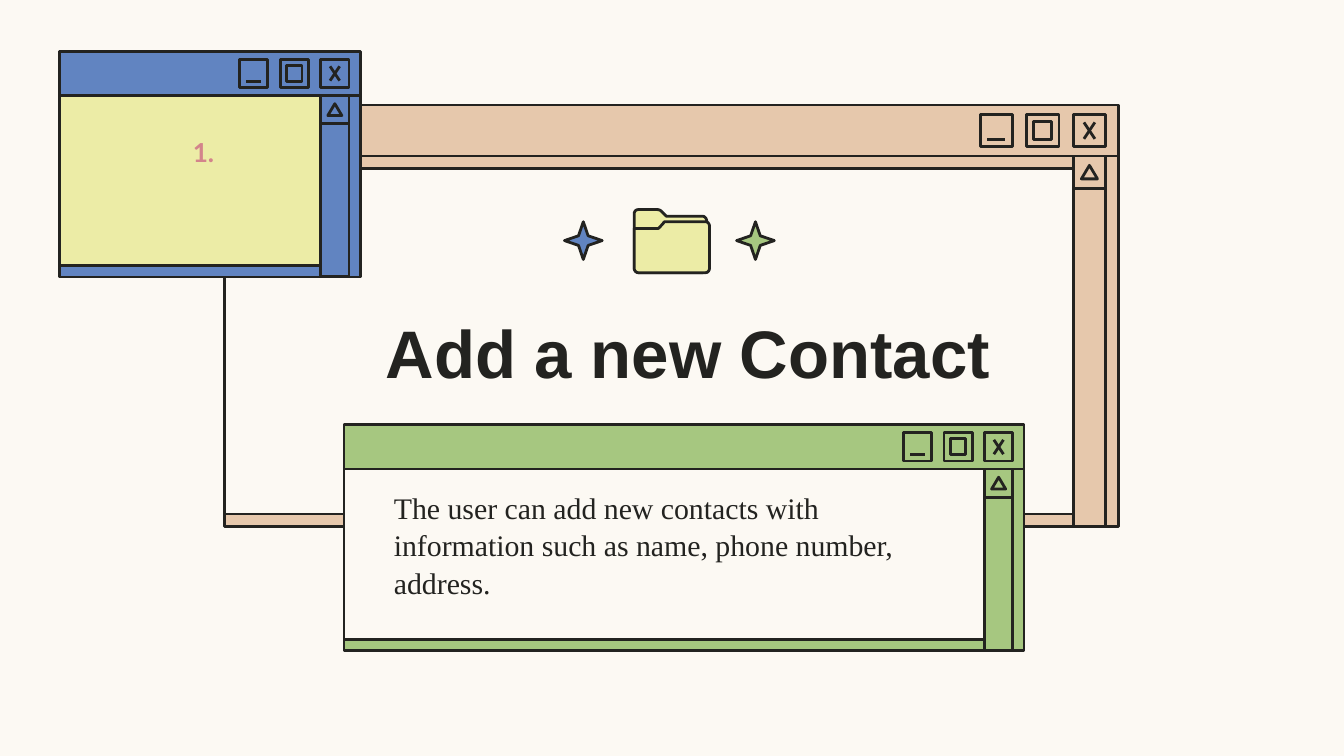
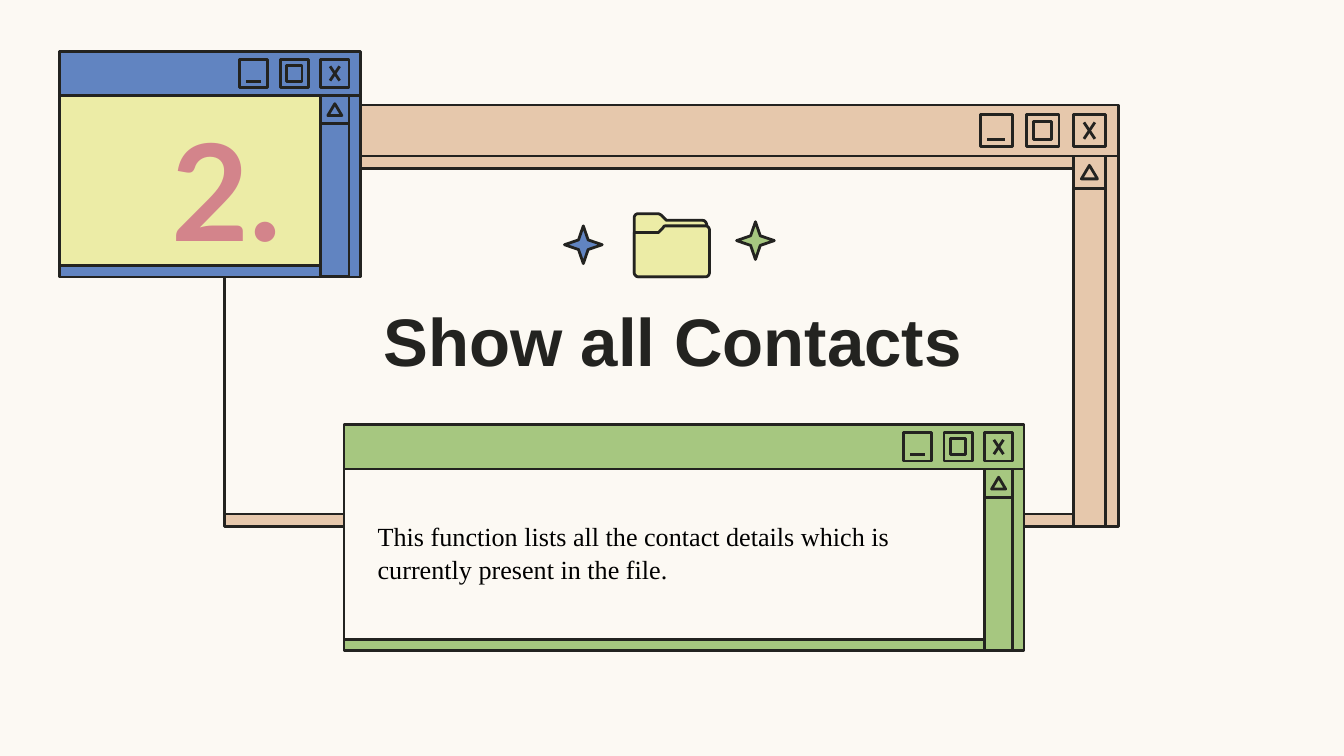
"""Build two slides of retro desktop windows that present contact features."""
import dataclasses
import typing

import pptx
import pptx.dml.color
import pptx.enum.shapes
import pptx.enum.text
import pptx.oxml.ns
import pptx.util
from lxml import etree

Pt = pptx.util.Pt
KIND = pptx.enum.shapes.MSO_SHAPE
ALIGN = pptx.enum.text.PP_ALIGN
ANCHOR = pptx.enum.text.MSO_ANCHOR

CREAM, INK, BLACK = "FCF9F3", "232320", "000000"
SAND, GREEN, BLUE = "E6C8AC", "A6C780", "6184C1"
YELLOW, PINK = "ECECA6", "D3848B"
STROKE = 1.5

Box = tuple[float, float, float, float]
Points = list[tuple[float, ...]]

FOLDER_BACK: Points = [
    (2.2, 0), (1, 0, 0, 1, 0, 2.2), (0, 31), (0, 32.4, 1, 33.8, 2.2, 33.8),
    (36.7, 33.8), (38, 33.8, 38.9, 32.4, 38.9, 31), (38.9, 6.5),
    (38.9, 5, 38, 3.6, 36.7, 3.6), (17.3, 3.6),
    (17.3, 3.6, 15.8, 2.2, 15.1, 1.4), (14.4, 0.7, 13.7, 0, 12.2, 0),
]
FOLDER_FRONT: Points = [
    (16.6, 6.5), (15.8, 6.5, 15.8, 7.2, 15.1, 7.9),
    (14.4, 8.6, 13, 10.1, 13, 10.1), (0, 10.1), (0, 31.7),
    (0, 32.4, 1, 33.8, 2.2, 33.8), (38.2, 33.8),
    (39.6, 33.8, 40.3, 32.4, 40.3, 31.7), (40.3, 8.6),
    (40.3, 7.9, 39.6, 6.5, 38.2, 6.5),
]


@dataclasses.dataclass(frozen=True)
class Window:
    """A window frame with its title bar, buttons and pane."""
    left: float
    top: float
    width: float
    bar: float
    body: float
    button: float
    paint: str
    pane: str
    head: float = 0


@dataclasses.dataclass(frozen=True)
class Label:
    """A text with its box and its look."""
    text: str
    box: Box
    size: float
    font: str
    paint: str
    bold: bool = True
    align: ALIGN = ALIGN.CENTER
    anchor: ANCHOR = ANCHOR.MIDDLE
    pad: float = 3.6
    spacing: float = 1


@dataclasses.dataclass(frozen=True)
class Scene:
    """What differs between the slides."""
    title: Label
    body: Label
    number: Label
    drop: float


WINDOWS = [
    Window(120.4, 56.2, 478.8, 27.4, 198.7, 17.3, SAND, CREAM, 6.6),
    Window(184.3, 227.5, 364.3, 23.8, 97.2, 15.1, GREEN, CREAM),
    Window(31.7, 27.4, 161.3, 23.8, 97.2, 15.1, BLUE, YELLOW),
]


def make_title(text: str, box: Box) -> Label:
    """Describe a slide title."""
    return Label(text, box, 36, "Arial", INK)


def make_body(text: str, box: Box, size: float, paint: str,
              spacing: float) -> Label:
    """Describe the text of the green window."""
    return Label(text, box, size, "Times New Roman", paint, False, ALIGN.LEFT,
                 pad=7.2, spacing=spacing)


SCENES = [
    Scene(
        make_title("Add a new Contact", (198.7, 169.2, 339.8, 38.2)),
        make_body("The user can add new contacts with information such as "
                  "name, phone number, address.",
                  (203.8, 253.6, 304.6, 75.6), 16, INK, 1.05),
        Label("1.", (84.2, 69.8, 49.7, 53.3), 14, "Lato", PINK,
              anchor=ANCHOR.TOP),
        0),
    Scene(
        make_title("Show all Contacts", (193, 150.7, 334.8, 62.6)),
        make_body("This function lists all the contact details which is "
                  "currently present in the file.",
                  (195.1, 271.4, 327.6, 48.2), 14, BLACK, 1.07),
        Label("2.", (84.2, 67.7, 74.2, 66.2), 72, "Lato", PINK),
        2.2),
]


def tint(code: str) -> pptx.dml.color.RGBColor:
    """Turn a hex string into a colour."""
    return pptx.dml.color.RGBColor.from_string(code)


def ink(line: typing.Any) -> None:
    """Give a line the shared stroke."""
    line.color.rgb = tint(INK)
    line.width = Pt(STROKE)


def dress(shape: typing.Any, paint: str | None) -> None:
    """Set fill, outline and no shadow."""
    shape.shadow.inherit = False
    if paint:
        shape.fill.solid()
        shape.fill.fore_color.rgb = tint(paint)
    else:
        shape.fill.background()
    ink(shape.line)


def draw(shapes: typing.Any, kind: KIND, box: Box, paint: str | None = None,
         adjust: tuple[float, ...] = ()) -> None:
    """Draw one preset shape."""
    shape = shapes.add_shape(kind, *map(Pt, box))
    for spot, value in enumerate(adjust):
        shape.adjustments[spot] = value
    dress(shape, paint)


def stroke(shapes: typing.Any, ends: Box) -> None:
    """Draw one straight line."""
    line = shapes.add_connector(pptx.enum.shapes.MSO_CONNECTOR.STRAIGHT,
                                *map(Pt, ends))
    ink(line.line)
    etree.SubElement(line.element.spPr, pptx.oxml.ns.qn("a:effectLst"))


def draw_window(slide: typing.Any, win: Window) -> None:
    """Draw a window as one group."""
    shapes = slide.shapes.add_group_shape().shapes
    size = win.button
    edge = 0.4 * size
    deck = win.top + win.bar
    close = win.left + win.width - edge - size
    high = win.top + (win.bar - size) / 2
    small, large, shut = (close - step * 1.44 * size for step in (2, 1, 0))

    draw(shapes, KIND.ROUND_2_SAME_RECTANGLE,
         (win.left, win.top, win.width, win.bar), win.paint, (0, 0))
    draw(shapes, KIND.RECTANGLE, (win.left, deck, win.width, win.body),
         win.paint)
    draw(shapes, KIND.RECTANGLE, (close, deck + size, size, win.body - size),
         win.paint)
    draw(shapes, KIND.RECTANGLE,
         (win.left, deck + win.head, close - win.left,
          win.body - win.head - edge), win.pane)
    for left, top in ((small, high), (large, high), (shut, high),
                      (close, deck)):
        draw(shapes, KIND.RECTANGLE, (left, top, size, size))
    draw(shapes, KIND.RECTANGLE,
         (large + 0.22 * size, high + 0.22 * size, 0.56 * size, 0.56 * size))
    draw(shapes, KIND.ISOSCELES_TRIANGLE,
         (close + 0.25 * size, deck + 0.29 * size, 0.5 * size, 0.42 * size))
    for left, top, right, low in ((0.33, 0.25, 0.67, 0.76),
                                  (0.67, 0.25, 0.33, 0.76)):
        stroke(shapes, (shut + left * size, high + top * size,
                        shut + right * size, high + low * size))
    stroke(shapes, (small + 0.76 * size, high + 0.78 * size,
                    small + 0.22 * size, high + 0.78 * size))


def flatten(points: Points, steps: int = 6) -> Points:
    """Turn lines and cubic curves into plain points."""
    flat = [points[0]]
    for part in points[1:]:
        if len(part) == 2:
            flat.append(part)
            continue
        knots = [flat[-1], part[:2], part[2:4], part[4:]]
        for step in range(1, steps + 1):
            t = step / steps
            parts = ((1 - t) ** 3, 3 * t * (1 - t) ** 2,
                     3 * t ** 2 * (1 - t), t ** 3)
            flat.append(tuple(sum(w * knot[axis]
                                  for w, knot in zip(parts, knots))
                              for axis in (0, 1)))
    return flat


def draw_folder(slide: typing.Any, left: float, top: float) -> None:
    """Draw the folder as one group."""
    shapes = slide.shapes.add_group_shape().shapes
    for points in (FOLDER_BACK, FOLDER_FRONT):
        spots = [(Pt(left + x), Pt(top + y)) for x, y in flatten(points)]
        pen = shapes.build_freeform(*spots[0])
        pen.add_line_segments(spots[1:], close=True)
        dress(pen.convert_to_shape(), YELLOW)


def write(shape: typing.Any, label: Label) -> None:
    """Place a text holder and format its text."""
    shape.left, shape.top, shape.width, shape.height = map(Pt, label.box)
    frame = shape.text_frame
    frame.text = label.text
    frame.word_wrap = True
    frame.auto_size = pptx.enum.text.MSO_AUTO_SIZE.NONE
    frame.vertical_anchor = label.anchor
    frame.margin_left = frame.margin_right = Pt(label.pad)
    frame.margin_top = frame.margin_bottom = Pt(label.pad)
    para = frame.paragraphs[0]
    para.alignment = label.align
    para.line_spacing = label.spacing
    para.space_before = Pt(0)
    para.font.name = label.font
    para.font.size = Pt(label.size)
    para.font.bold = label.bold
    para.font.color.rgb = tint(label.paint)


def build(deck: typing.Any, scene: Scene) -> None:
    """Add one slide."""
    slide = deck.slides.add_slide(deck.slide_layouts[0])
    for win in WINDOWS:
        draw_window(slide, win)
    draw_folder(slide, 339.8, 112.3 + scene.drop)
    for left, drop, paint in ((394.6, 0, GREEN), (302.4, scene.drop, BLUE)):
        draw(slide.shapes, KIND.STAR_4_POINT,
             (left, 118.8 + drop, 20.2, 20.2), paint, (0.18,))
    for holder, label in zip(slide.placeholders, (scene.title, scene.body)):
        write(holder, label)
        slide.shapes.element.append(holder.element)
    write(slide.shapes.add_textbox(*map(Pt, scene.number.box)), scene.number)


def main() -> None:
    """Build and save the deck."""
    deck = pptx.Presentation()
    deck.slide_width, deck.slide_height = Pt(720), Pt(405)
    fill = deck.slide_master.background.fill
    fill.solid()
    fill.fore_color.rgb = tint(CREAM)
    for scene in SCENES:
        build(deck, scene)
    deck.save("out.pptx")


if __name__ == "__main__":
    main()
